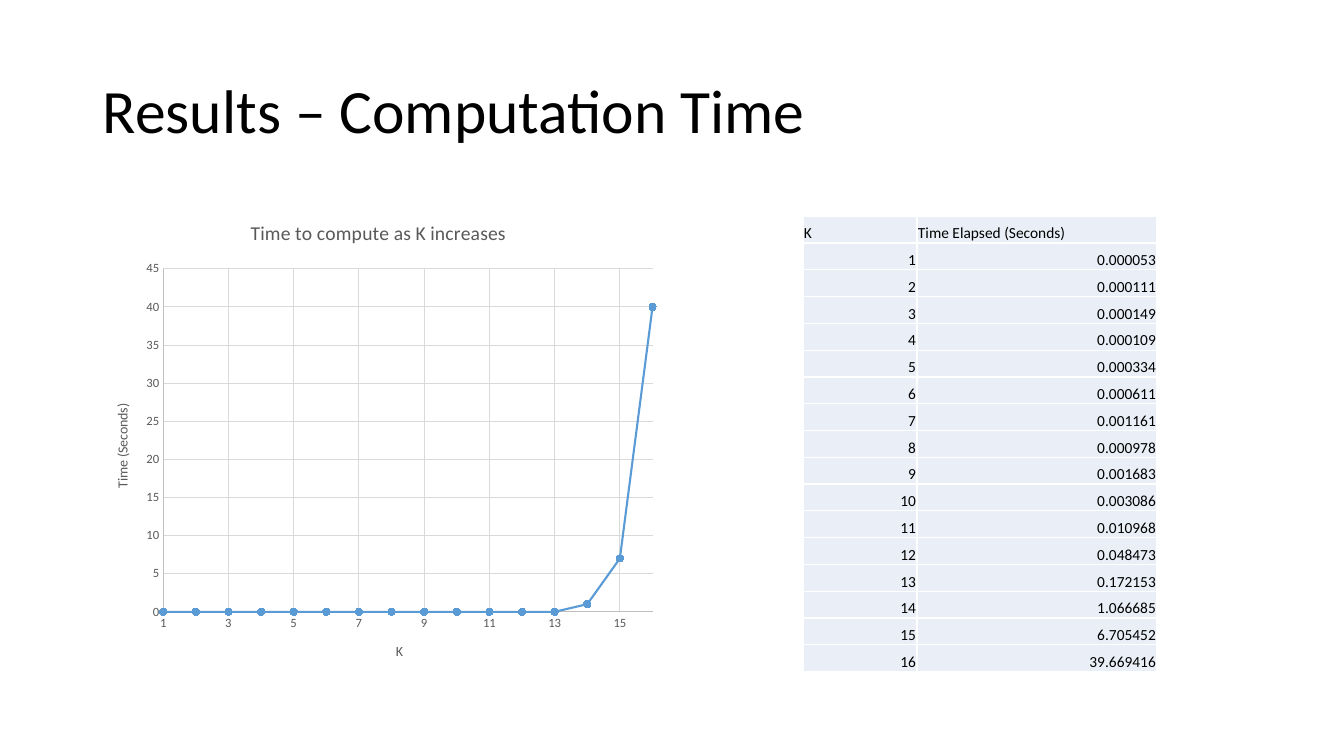
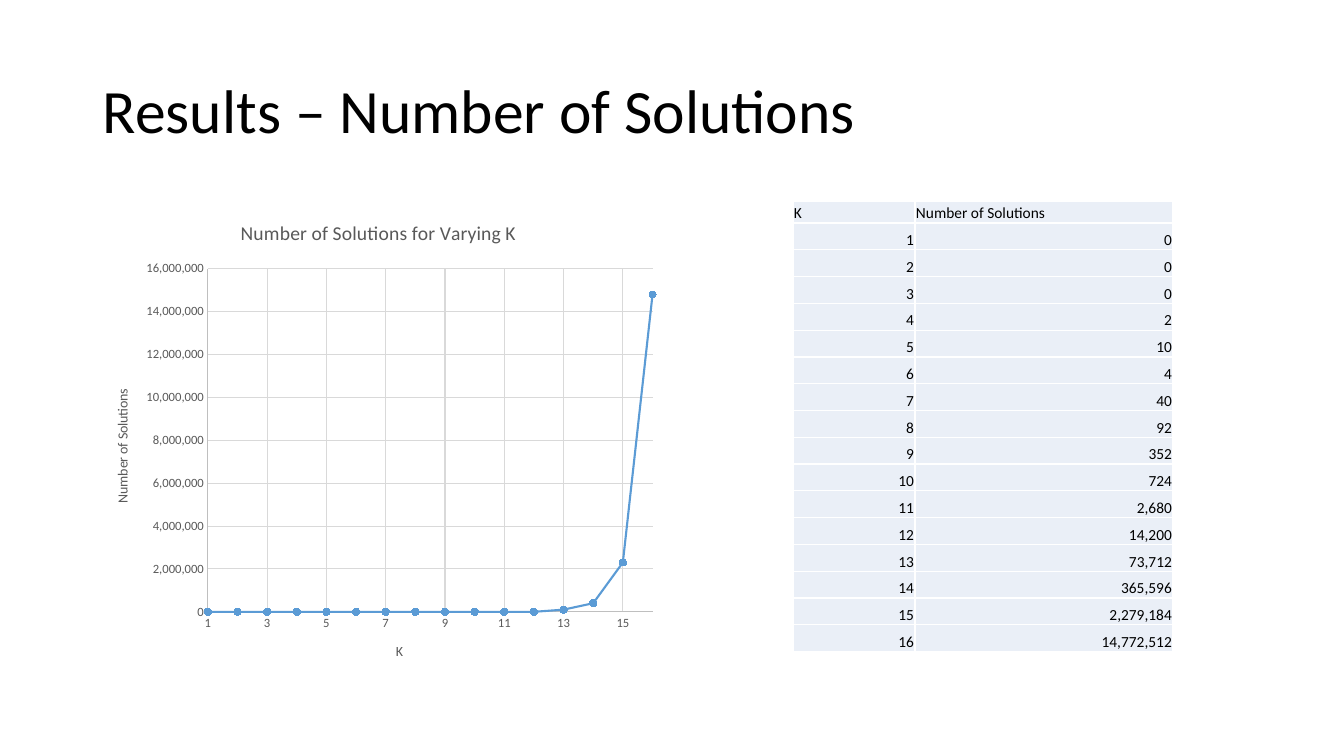
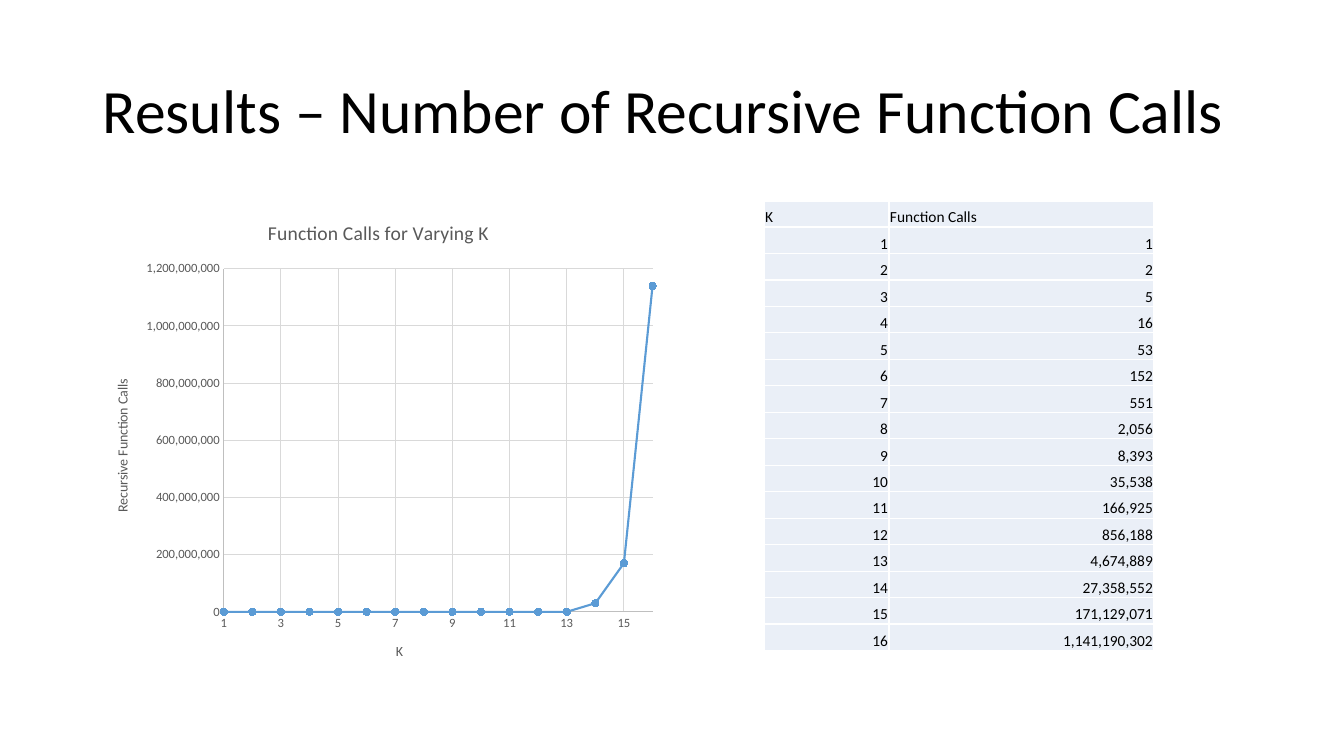
from lxml.etree import SubElement
from pptx import Presentation
from pptx.chart.data import XyChartData
from pptx.dml.color import RGBColor
from pptx.enum.chart import XL_CHART_TYPE as Kind, XL_MARKER_STYLE as Mark, XL_TICK_MARK as Tick
from pptx.enum.text import MSO_ANCHOR as Anchor, PP_ALIGN as Align
from pptx.oxml.ns import qn
from pptx.util import Emu, Pt

WIDE, HIGH = 1344, 756
SCALE = 12192000 / WIDE


def px(n):
    """Turn pixels into EMU."""
    return Emu(round(n * SCALE))


def rgb(code):
    """Turn a hex string into a colour."""
    return RGBColor.from_string(code)


class Deck:
    """Shared style and the current slide."""

    face = "Calibri"
    ink, gray, blue = "000000", "595959", "5B9BD5"
    rule, grid, pale, white = "BFBFBF", "D9D9D9", "EAEFF7", "FFFFFF"

    def __init__(self):
        """Start an empty deck."""
        self.prs = Presentation()
        self.prs.slide_width, self.prs.slide_height = px(WIDE), px(HIGH)
        self.slide = None

    def font(self, font, size, color):
        """Style one font."""
        font.name, font.size, font.bold = self.face, Pt(size), False
        font.color.rgb = rgb(color)

    def line(self, line, color, width=0.75):
        """Style one line."""
        line.color.rgb = rgb(color)
        line.width = Pt(width)

    def page(self, title):
        """Add a slide with its title."""
        self.slide = self.prs.slides.add_slide(self.prs.slide_layouts[6])
        box = self.slide.shapes.add_textbox(px(93), px(41), px(1159), px(146))
        frame = box.text_frame
        frame.word_wrap = True
        frame.vertical_anchor = Anchor.MIDDLE
        para = frame.paragraphs[0]
        para.text = title
        para.line_spacing = 0.9
        self.font(para.font, 44, self.ink)

    def label(self, owner, text, size):
        """Write the title of a chart or an axis."""
        owner.text_frame.text = text
        self.font(owner.text_frame.paragraphs[0].font, size, self.gray)

    def axis(self, axis, title, form):
        """Style one chart axis."""
        axis.has_major_gridlines = True
        self.line(axis.major_gridlines.format.line, self.grid)
        self.line(axis.format.line, self.rule)
        axis.major_tick_mark = axis.minor_tick_mark = Tick.NONE
        self.font(axis.tick_labels.font, 9, self.gray)
        axis.tick_labels.number_format = form
        axis.tick_labels.number_format_is_linked = False
        self.label(axis.axis_title, title, 10)

    def chart(self, title, name, values, form):
        """Plot values against K = 1, 2, 3 and so on."""
        data = XyChartData()
        points = data.add_series("Series 1")
        for k, value in enumerate(values, 1):
            points.add_data_point(k, value)
        chart = self.slide.shapes.add_chart(
            Kind.XY_SCATTER_LINES, px(93), px(201), px(571), px(480), data).chart
        self.font(chart.font, 10, self.ink)
        chart.has_legend = False
        self.label(chart.chart_title, title, 14)
        chart.chart_title.include_in_layout = False

        across, up = chart.category_axis, chart.value_axis
        self.axis(across, "K", "General")
        across.minimum_scale, across.maximum_scale = 1, len(values)
        across.major_unit = 2
        self.axis(up, name, form)
        body = up.axis_title.element.find(".//" + qn("a:bodyPr"))
        body.set("rot", "-5400000")
        body.set("vert", "horz")

        plot = chart.plots[0]
        plot.vary_by_categories = False
        curve = plot.series[0]
        curve.smooth = False
        self.line(curve.format.line, self.blue, 1.5)
        curve.marker.style, curve.marker.size = Mark.CIRCLE, 5
        curve.marker.format.fill.solid()
        curve.marker.format.fill.fore_color.rgb = rgb(self.blue)
        self.line(curve.marker.format.line, self.blue)

    def cell(self, cell, text, align):
        """Fill one table cell and give it white borders."""
        props = cell._tc.get_or_add_tcPr()
        for side in "LRTB":
            edge = SubElement(props, qn("a:ln" + side), w=str(Pt(1)))
            fill = SubElement(edge, qn("a:solidFill"))
            SubElement(fill, qn("a:srgbClr"), val=self.white)
        cell.fill.solid()
        cell.fill.fore_color.rgb = rgb(self.pale)
        cell.margin_left = cell.margin_right = cell.margin_top = px(1)
        cell.margin_bottom = 0
        cell.vertical_anchor = Anchor.BOTTOM
        cell.text = text
        para = cell.text_frame.paragraphs[0]
        para.alignment = align
        self.font(para.font, 11, self.ink)

    def table(self, name, texts, place, widths, head, high):
        """List each K with its value; head is the top row's height."""
        rows = [("K", name)] + [(str(k), text) for k, text in enumerate(texts, 1)]
        left, top = place
        table = self.slide.shapes.add_table(
            len(rows), 2, px(left), px(top), px(sum(widths)), px(high)).table
        table.first_row = table.horz_banding = False
        for col, width in zip(table.columns, widths):
            col.width = px(width)
        for i, row in enumerate(rows):
            table.rows[i].height = px((high - head) / len(texts) if i else head)
            for j, text in enumerate(row):
                self.cell(table.cell(i, j), text, Align.RIGHT if i else Align.LEFT)


def plain(text, places):
    """Turn a table figure into a rounded number."""
    return round(float(text.replace(",", "")), places)


TIMES = """0.000053 0.000111 0.000149 0.000109 0.000334 0.000611 0.001161 0.000978
0.001683 0.003086 0.010968 0.048473 0.172153 1.066685 6.705452 39.669416""".split()
FOUND = """0 0 0 2 10 4 40 92 352 724 2,680 14,200 73,712 365,596
2,279,184 14,772,512""".split()
CALLS = """1 2 5 16 53 152 551 2,056 8,393 35,538 166,925 856,188 4,674,889
27,358,552 171,129,071 1,141,190,302""".split()

# topic, chart title, axis title, number format, rounding, column head, column, table layout
PAGES = [
    ("Computation Time", "Time to compute as K increases", "Time (Seconds)", "General", 0,
     "Time Elapsed (Seconds)", TIMES, ((803, 216), (114, 240), 27, 456)),
    ("Number of Solutions", "Number of Solutions for Varying K", "Number of Solutions",
     "#,##0", -5, "Number of Solutions", FOUND, ((793, 201), (122, 258), 22, 451)),
    ("Number of Recursive Function Calls", "Function Calls for Varying K",
     "Recursive Function Calls", "#,##0", -7, "Function Calls", CALLS,
     ((764, 201), (125, 265), 26, 450)),
]

deck = Deck()
for topic, title, name, form, places, head, texts, layout in PAGES:
    deck.page("Results – " + topic)
    deck.table(head, texts, *layout)
    deck.chart(title, name, [plain(text, places) for text in texts], form)
deck.prs.save("out.pptx")
